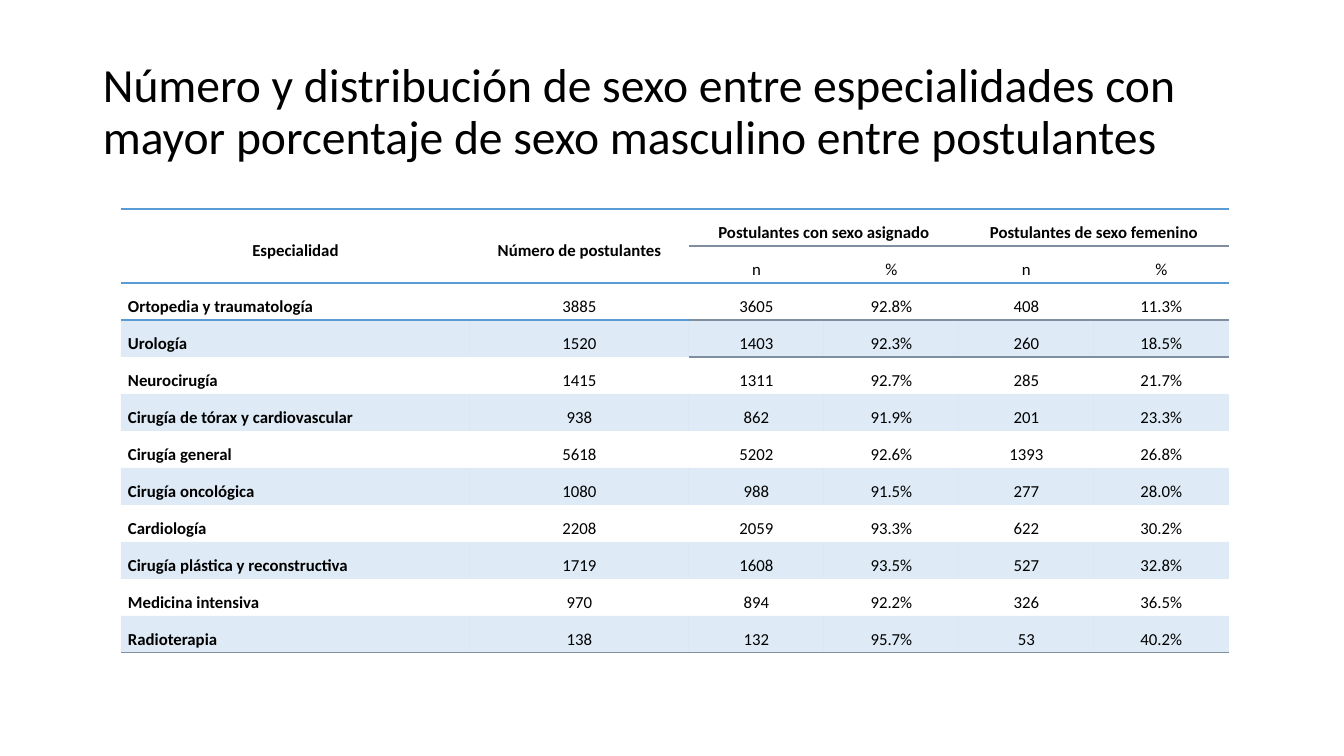
from lxml import etree
from pptx import Presentation
from pptx import util as u
from pptx.dml.color import RGBColor
from pptx.enum import text
from pptx.oxml import ns

SCALE = 914400 / 100.8
COLORS = {"ink": "000000", "blue": "5B9BD5", "grey": "7F8FA0"}
FONT = "Calibri"
NO_GRID_STYLE = "{2D5ABB26-0587-4C30-8999-92F81FD0307C}"

TITLE = ("Número y distribución de sexo entre especialidades con "
         "mayor porcentaje de sexo masculino entre postulantes")
GROUPS = ["Especialidad", "Número de postulantes",
          "Postulantes con sexo asignado", "Postulantes de sexo femenino"]
SPECIALTIES = [
    ("Ortopedia y traumatología", "3885", "3605", "92.8%", "408", "11.3%"),
    ("Urología", "1520", "1403", "92.3%", "260", "18.5%"),
    ("Neurocirugía", "1415", "1311", "92.7%", "285", "21.7%"),
    ("Cirugía de tórax y cardiovascular", "938", "862", "91.9%", "201", "23.3%"),
    ("Cirugía general", "5618", "5202", "92.6%", "1393", "26.8%"),
    ("Cirugía oncológica", "1080", "988", "91.5%", "277", "28.0%"),
    ("Cardiología", "2208", "2059", "93.3%", "622", "30.2%"),
    ("Cirugía plástica y reconstructiva", "1719", "1608", "93.5%", "527", "32.8%"),
    ("Medicina intensiva", "970", "894", "92.2%", "326", "36.5%"),
    ("Radioterapia", "138", "132", "95.7%", "53", "40.2%"),
]
COLUMNS = [349, 219, 135, 135, 135, 135]
ROW_HEIGHT = 37
HEADER_ROWS = 2


def px(length):
    return u.Emu(round(length * SCALE))


def write(frame, words, size=12, bold=False, align=text.PP_ALIGN.CENTER,
          spacing=1.5, before=6, after=9.6):
    para = frame.paragraphs[0]
    para.alignment = align
    para.line_spacing = spacing
    para.space_before, para.space_after = u.Pt(before), u.Pt(after)
    span = para.add_run()
    span.text = words
    span.font.name, span.font.size, span.font.bold = FONT, u.Pt(size), bold
    span.font.color.rgb = RGBColor.from_string(COLORS["ink"])


def add_title(page, left, top, width, height):
    box = page.shapes.add_textbox(px(left), px(top), px(width), px(height))
    frame = box.text_frame
    frame.word_wrap = True
    frame.vertical_anchor = text.MSO_ANCHOR.MIDDLE
    write(frame, TITLE, size=34, align=text.PP_ALIGN.LEFT,
          spacing=0.9, before=0, after=0)


def fill_cell(cell, banded):
    if not banded:
        cell.fill.background()
        return
    cell.fill.solid()
    cell.fill.fore_color.rgb = RGBColor.from_string(COLORS["blue"])
    tint = cell._tc.tcPr.find(".//" + ns.qn("a:srgbClr"))
    etree.SubElement(tint, ns.qn("a:alpha"), val="20000")


def add_border(cell, side, color):
    # Lines come before the fill, and the top line before the bottom one
    properties = cell._tc.get_or_add_tcPr()
    place = len(properties.findall(ns.qn("a:lnT"))) if side == "lnB" else 0
    line = etree.Element(ns.qn("a:" + side), w=str(u.Pt(1)))
    solid = etree.SubElement(line, ns.qn("a:solidFill"))
    etree.SubElement(solid, ns.qn("a:srgbClr"), val=COLORS[color])
    properties.insert(place, line)


def rule_table(table, boundary, first_column, color):
    for column in range(first_column, len(COLUMNS)):
        if boundary > 0:
            add_border(table.cell(boundary - 1, column), "lnB", color)
        if boundary < len(table.rows):
            add_border(table.cell(boundary, column), "lnT", color)


def add_specialties(page, left, top):
    count = HEADER_ROWS + len(SPECIALTIES)
    table = page.shapes.add_table(
        count, len(COLUMNS), px(left), px(top),
        px(sum(COLUMNS)), px(count * ROW_HEIGHT)).table
    table.first_row = table.horz_banding = False
    table._tbl.tblPr.find(ns.qn("a:tableStyleId")).text = NO_GRID_STYLE
    for column, width in zip(table.columns, COLUMNS):
        column.width = px(width)
    for row in table.rows:
        row.height = px(ROW_HEIGHT)

    # Cell margins and bands
    for index in range(count):
        for column in range(len(COLUMNS)):
            cell = table.cell(index, column)
            cell.vertical_anchor = text.MSO_ANCHOR.MIDDLE
            cell.margin_left = cell.margin_right = px(7)
            cell.margin_top = cell.margin_bottom = 0
            fill_cell(cell, index > HEADER_ROWS and index % 2 == 1)

    # Header: two tall cells, then two pairs
    for column, words in zip((0, 1, 2, 4), GROUPS):
        tall = column < 2
        cell = table.cell(0, column)
        cell.merge(table.cell(1, column) if tall else table.cell(0, column + 1))
        write(cell.text_frame, words, bold=True, after=14 if tall else 4)
    for column in range(2, len(COLUMNS)):
        write(table.cell(1, column).text_frame, "%" if column % 2 else "n",
              before=2, after=14)

    # One row per specialty
    for index, values in enumerate(SPECIALTIES, HEADER_ROWS):
        for column, words in enumerate(values):
            name = column == 0
            align = text.PP_ALIGN.LEFT if name else text.PP_ALIGN.CENTER
            write(table.cell(index, column).text_frame, words,
                  bold=name, align=align)

    # Horizontal rules
    for boundary, first_column, color in (
            (0, 0, "blue"), (1, 2, "grey"), (HEADER_ROWS, 0, "blue"),
            (HEADER_ROWS + 1, 2, "grey"), (count, 0, "grey")):
        rule_table(table, boundary, first_column, color)


def main():
    deck = Presentation()
    deck.slide_width, deck.slide_height = px(1344), px(756)
    page = deck.slides.add_slide(deck.slide_layouts[6])
    add_title(page, 93, 40, 1159, 146)
    add_specialties(page, 121, 209)
    deck.save("out.pptx")


if __name__ == "__main__":
    main()
